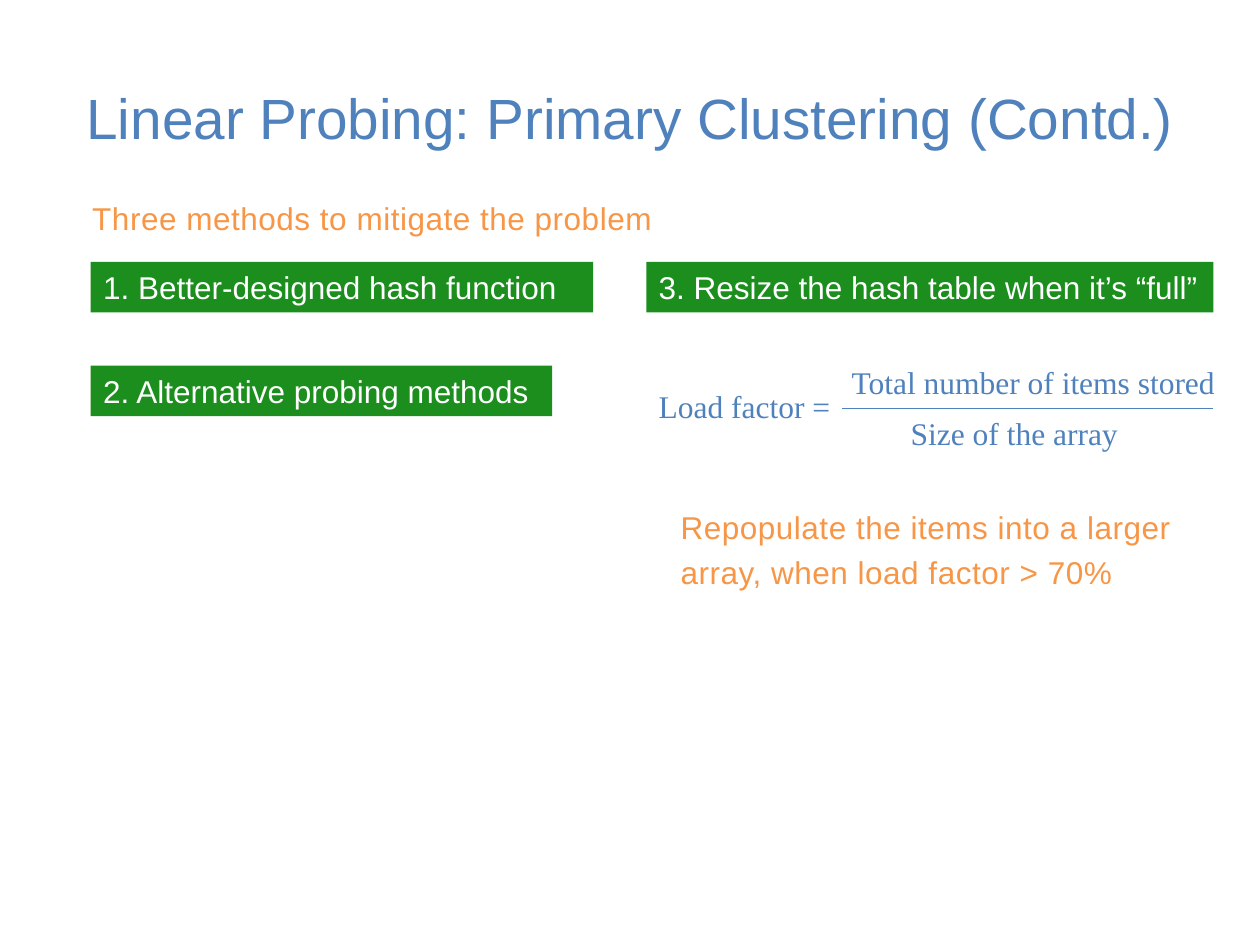
"""Build the slide on primary clustering in linear probing."""
from lxml.etree import SubElement
from pptx import Presentation
from pptx.dml.color import RGBColor
from pptx.enum.shapes import MSO_CONNECTOR, MSO_SHAPE
from pptx.enum.text import MSO_ANCHOR, PP_ALIGN
from pptx.oxml.ns import qn
from pptx.util import Cm, Pt

BLUE = RGBColor(0x4F, 0x81, 0xBD)
ORANGE = RGBColor(0xF7, 0x96, 0x46)
GREEN = RGBColor(0x1B, 0x8E, 0x1D)
WHITE = RGBColor(0xFF, 0xFF, 0xFF)

prs = Presentation()
prs.slide_width, prs.slide_height = Cm(25.4), Cm(19.05)
s = prs.slides.add_slide(prs.slide_layouts[6])


def add_text(text, x, y, w, h, color, size=18, font="Arial", fill=None, wrap=True,
             align=PP_ALIGN.LEFT, anchor=MSO_ANCHOR.TOP, note=False):
    box = Cm(x), Cm(y), Cm(w), Cm(h)
    if fill is None:
        sp = s.shapes.add_textbox(*box)
    else:
        sp = s.shapes.add_shape(MSO_SHAPE.RECTANGLE, *box)
        sp.shadow.inherit = False
        sp.fill.solid()
        sp.fill.fore_color.rgb = fill
        sp.line.fill.background()
    tf = sp.text_frame
    tf.word_wrap = wrap
    tf.vertical_anchor = anchor
    p = tf.paragraphs[0]
    p.alignment = align
    r = p.add_run()
    r.text = text
    r.font.name = font
    r.font.size = Pt(size)
    r.font.color.rgb = color
    if note:
        tf.margin_left = tf.margin_top = Cm(0.03)
        tf.margin_right = tf.margin_bottom = 0
        p.line_spacing = 1.2
        r._r.get_or_add_rPr().set("spc", "30")


add_text("Linear Probing: Primary Clustering (Contd.)", 1.27, 0.76, 22.86, 3.18, BLUE,
         size=32.4, align=PP_ALIGN.CENTER, anchor=MSO_ANCHOR.MIDDLE)

for text, x, y, w, h in [
    ("Three methods to mitigate the problem", 1.83, 3.84, 12.45, 0.86),
    ("Repopulate the items into a larger array, when load factor > 70%",
     13.69, 10.06, 10.77, 1.8),
]:
    add_text(text, x, y, w, h, ORANGE, note=True)

for text, x, y, w in [
    ("1. Better-designed hash function", 1.83, 5.28, 10.13),
    ("2. Alternative probing methods", 1.83, 7.37, 9.3),
    ("3. Resize the hash table when it’s “full”", 13.03, 5.28, 11.43),
]:
    add_text(text, x, y, w, 1.02, WHITE, fill=GREEN)

for text, x, y, w in [
    ("Load factor =", 13.03, 7.67, 4.01),
    ("Total number of items stored", 16.92, 7.19, 7.92),
    ("Size of the array", 18.11, 8.23, 4.72),
]:
    add_text(text, x, y, w, 1.02, BLUE, font="Times New Roman", wrap=False)

bar = s.shapes.add_connector(MSO_CONNECTOR.STRAIGHT, Cm(24.46), Cm(8.23), Cm(16.97), Cm(8.23))
bar.line.color.rgb = BLUE
bar.line.width = Pt(0.75)
SubElement(bar._element.spPr, qn("a:effectLst"))

prs.save("out.pptx")
